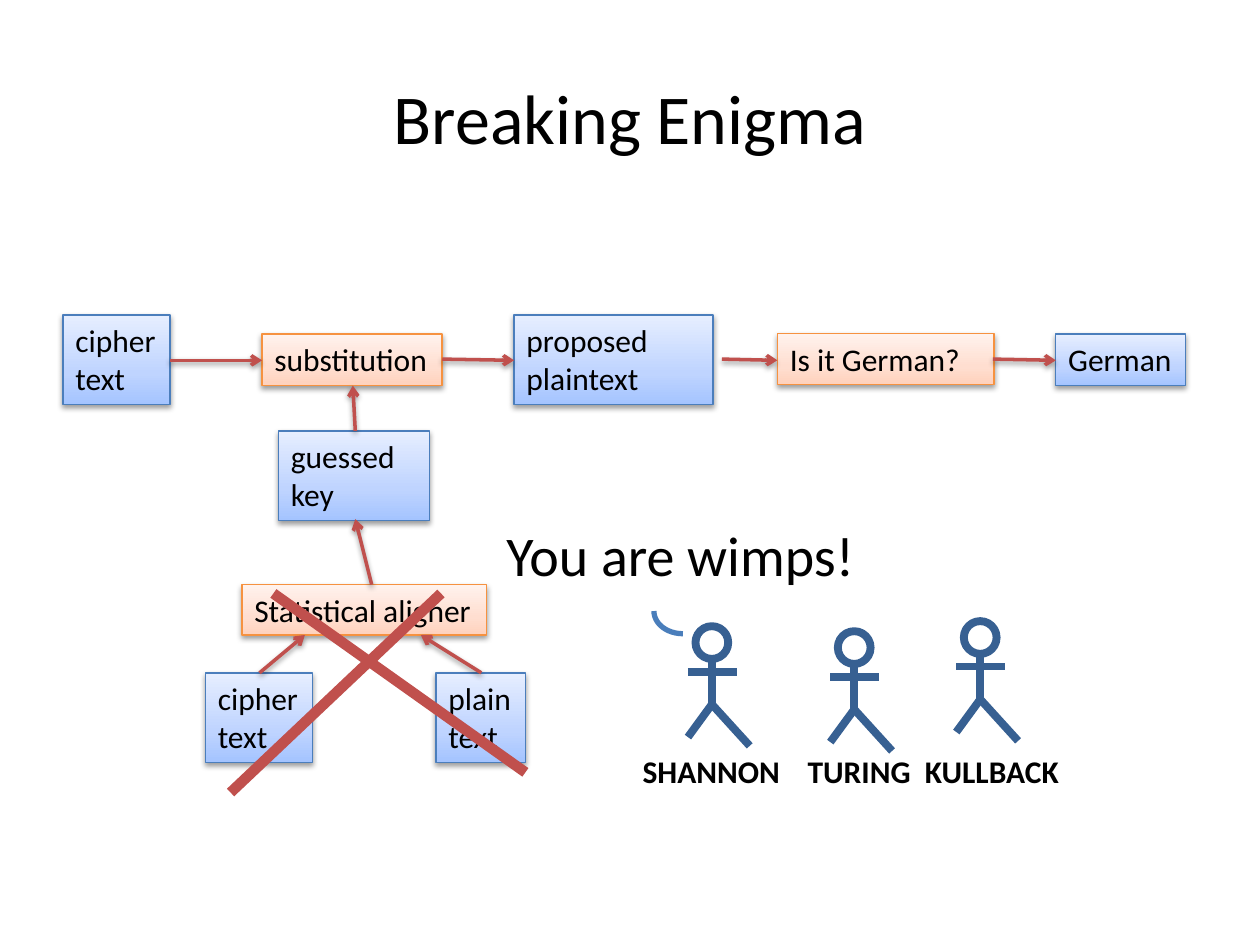
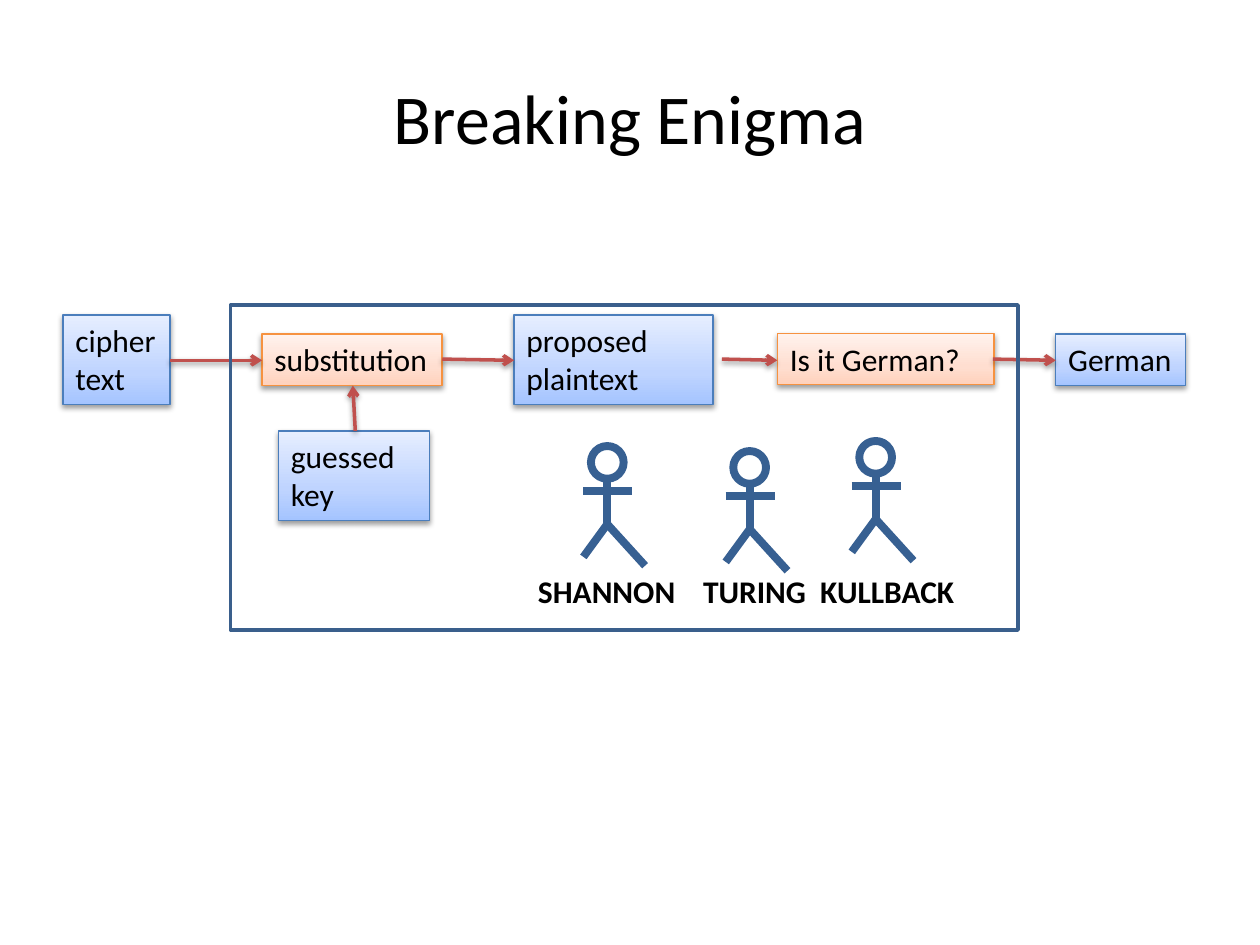
from copy import deepcopy

from lxml import etree
from pptx import Presentation
from pptx.dml.color import RGBColor
from pptx.enum.shapes import MSO_CONNECTOR, MSO_SHAPE
from pptx.enum.text import MSO_ANCHOR, MSO_AUTO_SIZE, PP_ALIGN
from pptx.oxml.ns import qn
from pptx.util import Inches, Pt

RECTANGLE, OVAL, ARC = MSO_SHAPE.RECTANGLE, MSO_SHAPE.OVAL, MSO_SHAPE.ARC
STRAIGHT = MSO_CONNECTOR.STRAIGHT
LEFT, CENTER = PP_ALIGN.LEFT, PP_ALIGN.CENTER
TOP, MIDDLE = MSO_ANCHOR.TOP, MSO_ANCHOR.MIDDLE
GROW = MSO_AUTO_SIZE.SHAPE_TO_FIT_TEXT

FONT = "Calibri"
BLACK = RGBColor(0x00, 0x00, 0x00)
RED = RGBColor(0xC0, 0x50, 0x4D)
FIGURE_BLUE = RGBColor(0x37, 0x60, 0x92)
FRAME_BLUE = RGBColor(0x3A, 0x5F, 0x8C)
SPEECH_BLUE = RGBColor(0x4A, 0x7E, 0xBB)
DATA_LINE = RGBColor(0x4B, 0x7E, 0xBC)
STEP_LINE = RGBColor(0xF6, 0x92, 0x40)
DATA_FILL = (RGBColor(0xA4, 0xC4, 0xFF), RGBColor(0xBF, 0xD4, 0xFF), RGBColor(0xE6, 0xEE, 0xFF))
STEP_FILL = (RGBColor(0xFF, 0xD2, 0xBD), RGBColor(0xFF, 0xDE, 0xD0), RGBColor(0xFF, 0xF2, 0xED))
FILL_POSITIONS = (0, 0.35, 1)
DATA = (DATA_FILL, DATA_LINE)
STEP = (STEP_FILL, STEP_LINE)

PIPELINE_BOXES = [
    ("cipher\ntext", DATA, 0.5, 2.5, 0.85, 0.71),
    ("guessed\nkey", DATA, 2.21, 3.42, 1.2, 0.71),
    ("substitution", STEP, 2.08, 2.65, 1.43, 0.41),
    ("Is it German?", STEP, 6.17, 2.65, 1.72, 0.4),
    ("German", DATA, 8.38, 2.65, 1.03, 0.41),
    ("proposed\nplaintext", DATA, 4.08, 2.5, 1.58, 0.71),
]
PIPELINE_ARROWS = [
    (1.35, 2.86, 2.08, 2.86),
    (3.51, 2.85, 4.08, 2.86),
    (5.73, 2.85, 6.17, 2.86),
    (7.88, 2.85, 8.38, 2.86),
    (2.82, 3.42, 2.8, 3.06),
]
ALIGNER_BOXES = [
    ("Statistical aligner", STEP, 1.92, 4.64, 1.94, 0.4),
    ("cipher\ntext", DATA, 1.63, 5.34, 0.85, 0.71),
    ("plain\ntext", DATA, 3.46, 5.34, 0.71, 0.71),
]
ALIGNER_ARROWS = [
    (2.06, 5.34, 2.42, 5.04),
    (3.82, 5.34, 3.34, 5.04),
    (2.95, 4.64, 2.82, 4.12),
]
CROSS_STROKES = [(2.17, 4.71, 4.17, 6.13), (1.83, 6.29, 3.5, 4.71)]
FIGURE_OFFSETS = [(0, 0), (1.13, 0.04), (2.13, -0.04)]
LIMBS = [
    (0, 0.28, 0, 0.64),
    (0, 0.62, -0.19, 0.88),
    (0, 0.62, 0.3, 0.95),
    (-0.19, 0.36, 0.2, 0.36),
]
NAME_TABS = (1.31, 2.24)


def add_effects(element, shadowed):
    """Give a drawn element a soft shadow, or none at all."""
    properties = element.spPr
    effects = etree.SubElement(properties, qn("a:effectLst"))
    if shadowed:
        shadow = etree.SubElement(effects, qn("a:outerShdw"), blurRad="40000",
                                  dist="20000", dir="5400000", rotWithShape="0")
        color = etree.SubElement(shadow, qn("a:srgbClr"), val=str(BLACK))
        etree.SubElement(color, qn("a:alpha"), val="38000")


def write_text(frame, text, size, align=LEFT, bold=False):
    """Fill a text frame and format every run."""
    frame.text = text
    for paragraph in frame.paragraphs:
        paragraph.alignment = align
        for run in paragraph.runs:
            run.font.name = FONT
            run.font.size = Pt(size)
            run.font.bold = bold
            run.font.color.rgb = BLACK


def add_label(slide, text, size, left, top, width, height, align=LEFT, bold=False):
    """Add plain text on the slide and return its text frame."""
    box = slide.shapes.add_textbox(Inches(left), Inches(top), Inches(width), Inches(height))
    box.text_frame.word_wrap = True
    write_text(box.text_frame, text, size, align, bold)
    return box.text_frame


def fill_gradient(shape, colors):
    """Blend three colours from the bottom of a shape to its top."""
    shape.fill.gradient()
    shape.fill.gradient_angle = 90
    stops = shape.element.spPr.find(".//" + qn("a:gsLst"))
    stops.append(deepcopy(stops[-1]))
    for stop, color, position in zip(shape.fill.gradient_stops, colors, FILL_POSITIONS):
        stop.color.rgb = color
        stop.position = position


def add_box(slide, text, style, left, top, width, height):
    """Add one data or step box of the diagram."""
    colors, line_color = style
    box = slide.shapes.add_shape(RECTANGLE, Inches(left), Inches(top), Inches(width), Inches(height))
    fill_gradient(box, colors)
    box.line.color.rgb = line_color
    box.line.width = Pt(0.75)
    add_effects(box.element, True)
    frame = box.text_frame
    frame.vertical_anchor = TOP
    frame.word_wrap = False
    frame.auto_size = GROW
    write_text(frame, text, 18)


def add_outline(slide, kind, left, top, width, height, color, weight):
    """Add an unfilled preset shape."""
    outline = slide.shapes.add_shape(kind, Inches(left), Inches(top), Inches(width), Inches(height))
    outline.fill.background()
    outline.line.color.rgb = color
    outline.line.width = Pt(weight)
    outline.shadow.inherit = False
    return outline


def add_line(slide, x1, y1, x2, y2, color, weight, arrow=False):
    """Add a straight line; arrows carry a head and a shadow."""
    line = slide.shapes.add_connector(STRAIGHT, Inches(x1), Inches(y1), Inches(x2), Inches(y2))
    line.line.color.rgb = color
    line.line.width = Pt(weight)
    if arrow:
        etree.SubElement(line.element.spPr.find(qn("a:ln")), qn("a:tailEnd"), type="arrow")
    add_effects(line.element, arrow)


def add_diagram(slide, boxes, arrows):
    """Add boxes and the arrows that join them."""
    for box in boxes:
        add_box(slide, *box)
    for arrow in arrows:
        add_line(slide, *arrow, RED, 2, arrow=True)


def add_stick_figure(slide, x, top):
    """Draw a person centred on x with the head starting at top."""
    add_outline(slide, OVAL, x - 0.13, top, 0.26, 0.26, FIGURE_BLUE, 4.5)
    for x1, y1, x2, y2 in LIMBS:
        add_line(slide, x + x1, top + y1, x + x2, top + y2, FIGURE_BLUE, 4.5)


def add_codebreakers(slide, x, top):
    """Draw the three named people, placed from the first one's head."""
    for dx, dy in FIGURE_OFFSETS:
        add_stick_figure(slide, x + dx, top + dy)
    names = add_label(slide, "SHANNON\tTURING\tKULLBACK", 18,
                      x - 0.82, top + 0.95, 3.83, 0.4, bold=True)
    names.margin_left = Inches(0.27)
    properties = names.paragraphs[0]._p.get_or_add_pPr()
    tabs = etree.SubElement(properties, qn("a:tabLst"))
    for position in NAME_TABS:
        etree.SubElement(tabs, qn("a:tab"), pos=str(Inches(position)), algn="l")


def add_enigma_slide(deck):
    """Add a slide with the shared title and pipeline."""
    slide = deck.slides.add_slide(deck.slide_layouts[6])
    title = add_label(slide, "Breaking Enigma", 40, 0.5, 0.3, 9, 1.25, CENTER)
    title.vertical_anchor = MIDDLE
    add_diagram(slide, PIPELINE_BOXES, PIPELINE_ARROWS)
    return slide


def build_wimps_slide(deck):
    """Show the rejected aligner and the taunting codebreakers."""
    slide = add_enigma_slide(deck)
    add_diagram(slide, ALIGNER_BOXES, ALIGNER_ARROWS)
    for stroke in CROSS_STROKES:
        add_line(slide, *stroke, RED, 6)
    add_codebreakers(slide, 5.65, 4.97)
    speech = add_outline(slide, ARC, 5.19, 4.67, 0.46, 0.36, SPEECH_BLUE, 3)
    speech.adjustments[0] = 54
    speech.adjustments[1] = 108
    add_label(slide, "You are wimps!", 32, 3.92, 4.08, 2.99, 0.64)


def build_framed_slide(deck):
    """Show the codebreakers inside the framed pipeline."""
    slide = add_enigma_slide(deck)
    add_codebreakers(slide, 4.82, 3.54)
    add_outline(slide, RECTANGLE, 1.83, 2.42, 6.25, 2.58, FRAME_BLUE, 2)


def main():
    """Build and save the two slides."""
    deck = Presentation()
    deck.slide_width = Inches(10)
    deck.slide_height = Inches(7.5)
    build_wimps_slide(deck)
    build_framed_slide(deck)
    deck.save("out.pptx")


if __name__ == "__main__":
    main()
